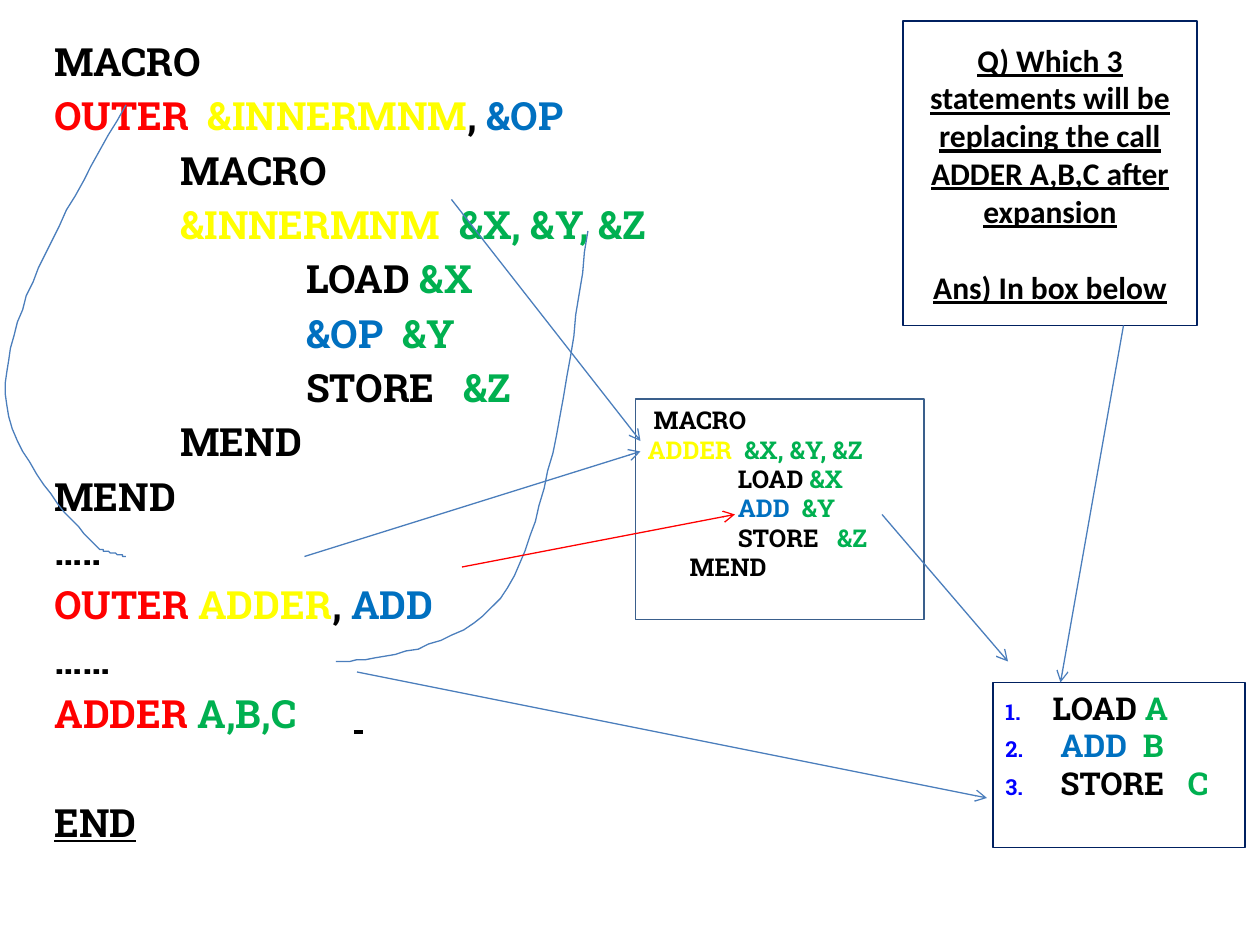
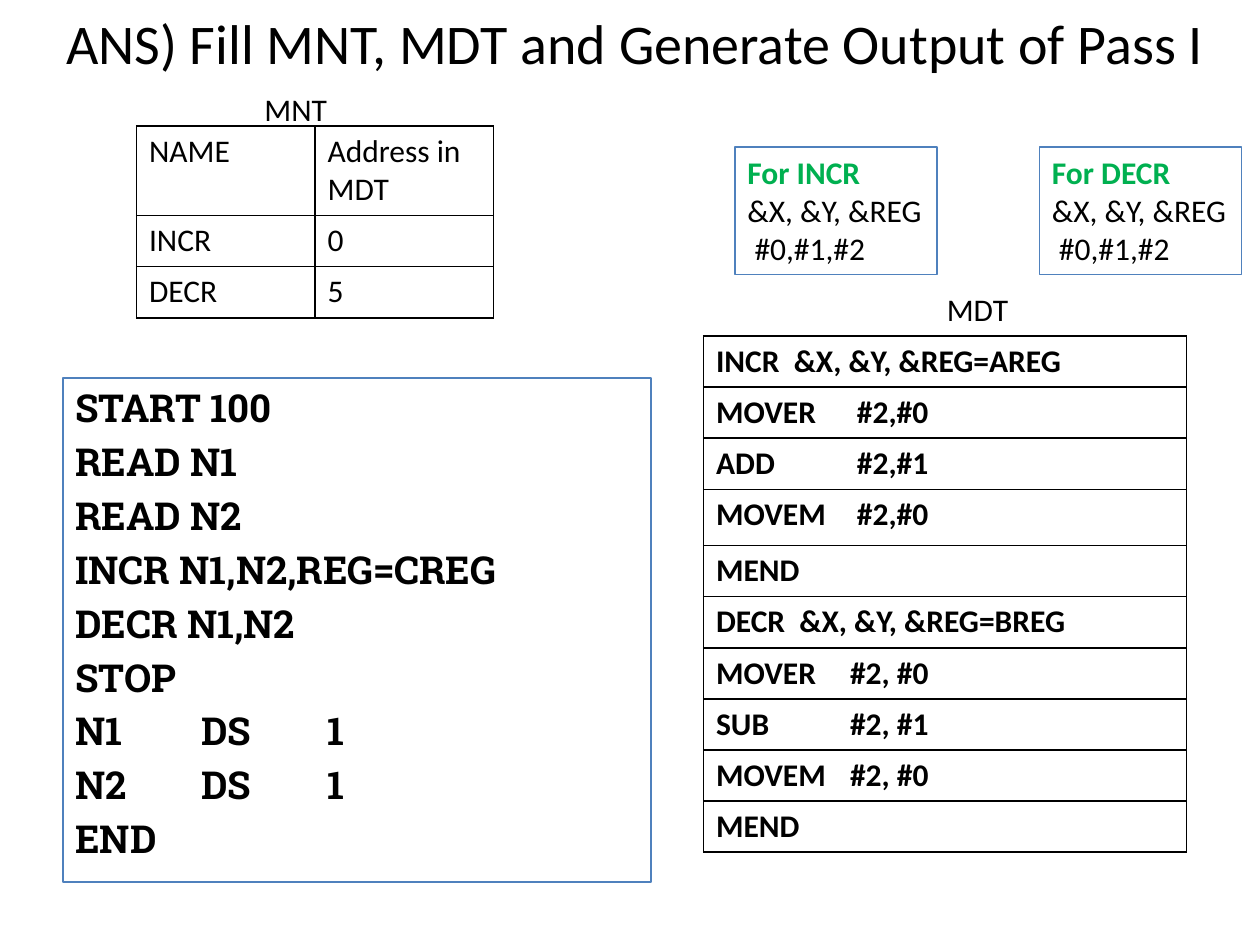
from lxml.etree import SubElement
from pptx import Presentation
from pptx.dml.color import RGBColor
from pptx.enum.shapes import MSO_CONNECTOR, MSO_SHAPE
from pptx.enum.text import MSO_ANCHOR, PP_ALIGN
from pptx.oxml.ns import qn
from pptx.util import Pt

BLACK, RED, YELLOW = "000000", "FF0000", "FFFF00"
BLUE, GREEN, NAVY = "0070C0", "00B050", "002060"
ARROW, EDGE, NUMBER = "4B7EBC", "4F81BD", "0000FF"
SLAB, SANS = "Roboto Slab", "Calibri"


def gap(extra):
    return (" ", BLACK, {"spacing": extra})


PARAMS = ("&X, &Y, &Z", GREEN)
X, Y, Z = ("&X", GREEN), ("&Y", GREEN), ("&Z", GREEN)

QUESTION = [
    "Q) Which 3 statements will be replacing the call ADDER A,B,C after expansion",
    "Ans) In box below",
]
NESTED_MACRO = [
    "MACRO",
    [("OUTER", RED), gap(5.5), ("&INNERMNM", YELLOW), ", ", ("&OP", BLUE)],
    "\tMACRO",
    ["\t", ("&INNERMNM", YELLOW), gap(5.5), PARAMS],
    ["\t\tLOAD ", X],
    ["\t\t", ("&OP", BLUE), gap(5.5), Y],
    ["\t\tSTORE", gap(11), Z],
    "\tMEND",
    "MEND",
    "…..",
    [("OUTER ", RED), ("ADDER", YELLOW), ", ", ("ADD", BLUE)],
    "……",
    [("ADDER ", RED), ("A,B,C", GREEN), gap(27.5),
     (" ", BLACK, {"name": SANS, "underline": True})],
    [("END", BLACK, {"underline": True})],
]
INNER_MACRO = [
    " MACRO",
    [("ADDER", YELLOW), gap(3.5), PARAMS],
    ["\t\tLOAD ", X],
    ["\t\t", ("ADD", BLUE), gap(3.5), Y],
    ["\t\tSTORE", gap(7), Z],
    "\tMEND",
]
EXPANSION = [
    ["LOAD ", ("A", GREEN)],
    [" ", ("ADD", BLUE), gap(4.5), ("B", GREEN)],
    [" STORE", gap(9), ("C", GREEN)],
]
ARROWS = [
    (264, 324, 420, 294, RED),
    (204, 384, 564, 456, ARROW),
    (642, 186, 606, 390, ARROW),
    (174, 318, 366, 258, ARROW),
    (258, 114, 366, 252, ARROW),
    (504, 294, 576, 378, ARROW),
]
CURVES = [
    [[(72, 60), (39, 118), (5, 176), (3, 219)],
     [(3, 219), (0, 261), (57, 314), (57, 314)],
     [(57, 314), (62, 315), (67, 317), (72, 318)]],
    [[(336, 132), (325, 213), (314, 294), (290, 336)],
     [(290, 336), (266, 377), (192, 378), (192, 378)]],
]

TITLE = "ANS) Fill MNT, MDT and Generate Output of Pass I"
PASS_ONE = ["START 100", "READ N1", "READ N2", "INCR N1,N2,REG=CREG", "DECR N1,N2",
            "STOP", "N1 \tDS \t1", "N2 \tDS \t1", "END"]
MNT = [["NAME", "Address in MDT"], ["INCR", "0"], ["DECR", "5"]]
MDT = [
    ["INCR", gap(4), "&X, &Y, &REG=AREG"],
    "MOVER\t#2,#0",
    "ADD\t#2,#1",
    "MOVEM\t#2,#0",
    "MEND",
    ["DECR", gap(4), "&X, &Y, &REG=BREG"],
    "MOVER\t#2, #0",
    "SUB\t#2, #1",
    "MOVEM\t#2, #0",
    "MEND",
]
LABELS = [("MNT", 144, 48), ("MDT", 534, 162)]
ARGUMENT_LISTS = [("INCR", 420), ("DECR", 594)]
ROW = 29.2


def rgb(color):
    return RGBColor.from_string(color)


def assign(obj, values):
    for name, value in values.items():
        setattr(obj, name, value)


def add_tabs(p, stops):
    tabs = SubElement(p._p.get_or_add_pPr(), qn("a:tabLst"))
    for stop in stops:
        SubElement(tabs, qn("a:tab"), pos=str(Pt(stop)), algn="l")


def number(p):
    pPr = p._p.get_or_add_pPr()
    pPr.set("marL", str(Pt(27)))
    pPr.set("indent", str(-Pt(27)))
    SubElement(SubElement(pPr, qn("a:buClr")), qn("a:srgbClr"), val=NUMBER)
    SubElement(pPr, qn("a:buSzPct"), val="70000")
    SubElement(pPr, qn("a:buFont"), typeface=SANS)
    SubElement(pPr, qn("a:buAutoNum"), type="arabicPeriod")


def write(tf, lines, size, name=SANS, bold=False, underline=False,
          align=PP_ALIGN.LEFT, before=0, tabs=(), numbered=False):
    for i, line in enumerate(lines):
        p = tf.add_paragraph() if i else tf.paragraphs[0]
        assign(p, {"alignment": align, "space_before": Pt(before)})
        if numbered:
            number(p)
        if tabs:
            add_tabs(p, tabs)
        for item in [line] if isinstance(line, (str, tuple)) else line:
            text, color, *extra = (item, BLACK) if isinstance(item, str) else item
            values = {"size": Pt(size), "name": name, "bold": bold, "underline": underline}
            values.update(extra[0] if extra else {})
            spacing = values.pop("spacing", 0)
            r = p.add_run()
            r.text = text
            assign(r.font, values)
            r.font.color.rgb = rgb(color)
            if spacing:
                r._r.get_or_add_rPr().set("spc", str(int(spacing * 100)))


def add_text(s, at, lines, size, line=None, wrap=True, anchor=MSO_ANCHOR.TOP, **style):
    at = [Pt(v) for v in at]
    if line:
        sp = s.shapes.add_shape(MSO_SHAPE.RECTANGLE, *at)
        sp.shadow.inherit = False
        sp.fill.background()
        sp.line.color.rgb = rgb(line)
        sp.line.width = Pt(0.75)
    else:
        sp = s.shapes.add_textbox(*at)
    tf = sp.text_frame
    assign(tf, {"word_wrap": wrap, "vertical_anchor": anchor})
    write(tf, lines, size, **style)
    return tf


def add_arrow(s, x1, y1, x2, y2, color):
    c = s.shapes.add_connector(MSO_CONNECTOR.STRAIGHT, Pt(x1), Pt(y1), Pt(x2), Pt(y2))
    c.line.color.rgb = rgb(color)
    c.line.width = Pt(0.75)
    SubElement(c.line._get_or_add_ln(), qn("a:tailEnd"), type="arrow")
    SubElement(c._element.spPr, qn("a:effectLst"))


def bezier(points, t):
    weights = ((1 - t) ** 3, 3 * t * (1 - t) ** 2, 3 * t * t * (1 - t), t ** 3)
    return tuple(sum(w * pt[k] for w, pt in zip(weights, points)) for k in (0, 1))


def add_curve(s, segments, steps=20):
    points = [bezier(seg, i / steps) for seg in segments for i in range(1, steps + 1)]
    x, y = segments[0][0]
    builder = s.shapes.build_freeform(x, y, scale=Pt(1))
    builder.add_line_segments(points, close=False)
    sp = builder.convert_to_shape()
    sp.shadow.inherit = False
    sp.fill.background()
    sp.line.color.rgb = rgb(ARROW)
    sp.line.width = Pt(0.75)


def add_border(cell):
    tcPr = cell._tc.get_or_add_tcPr()
    for i, side in enumerate(("lnL", "lnR", "lnT", "lnB")):
        ln = tcPr.makeelement(qn("a:" + side), {"w": str(Pt(1))})
        SubElement(SubElement(ln, qn("a:solidFill")), qn("a:srgbClr"), val=BLACK)
        tcPr.insert(i, ln)


def add_grid(s, x, y, width, heights, rows, tabs=None, **style):
    frame = s.shapes.add_table(len(rows), len(rows[0]), Pt(x), Pt(y), Pt(width),
                               Pt(sum(heights)))
    table = frame.table
    assign(table, {"first_row": False, "horz_banding": False})
    for i, row in enumerate(rows):
        table.rows[i].height = Pt(heights[i])
        for j, line in enumerate(row):
            cell = table.cell(i, j)
            cell.fill.background()
            add_border(cell)
            write(cell.text_frame, [line], 18, tabs=tabs[i] if tabs else (), **style)


def build_expansion(s):
    tf = add_text(s, (516, 12, 168, 174), QUESTION, 18, line=NAVY, bold=True,
                  underline=True, align=PP_ALIGN.CENTER, anchor=MSO_ANCHOR.MIDDLE)
    tf.paragraphs[-1].space_before = Pt(22)
    tf = add_text(s, (24, 18, 468, 462), NESTED_MACRO, 22.2, name=SLAB, bold=True,
                  before=4.4, tabs=(72, 144))
    tf.paragraphs[-1].space_before = Pt(35.6)
    add_text(s, (363, 228, 165, 126), INNER_MACRO, 14, line="3A5F8C", name=SLAB,
             bold=True, tabs=(24, 51.5))
    for curve in CURVES:
        add_curve(s, curve)
    add_text(s, (567.5, 390, 144, 94.5), EXPANSION, 18, line=NAVY, name=SLAB,
             bold=True, numbered=True)
    for arrow in ARROWS:
        add_arrow(s, *arrow)


def build_tables(s):
    add_text(s, (36, 216, 336, 288), PASS_ONE, 22, line=EDGE, name=SLAB, bold=True,
             before=4.4, tabs=(72, 144))
    add_grid(s, 78, 72, 204, [51.2, ROW, ROW], MNT)
    heights = [ROW] * len(MDT)
    heights[3] = 32.2
    add_grid(s, 402, 192, 276, heights, [[line] for line in MDT],
             tabs=[(80.5,)] * 5 + [(76.5,)] * 5, bold=True)
    for label, x, y in LABELS:
        add_text(s, (x, y, 50, 29), [label], 18, wrap=False)
    add_text(s, (30, 6, 666, 36), [TITLE], 32, wrap=False, align=PP_ALIGN.CENTER,
             anchor=MSO_ANCHOR.MIDDLE)
    for macro, x in ARGUMENT_LISTS:
        lines = [("For " + macro, GREEN, {"bold": True}), "&X, &Y, &REG", " #0,#1,#2"]
        add_text(s, (x, 84, 115.5, 73), lines, 18, line=EDGE, wrap=False)


def main():
    prs = Presentation()
    assign(prs, {"slide_width": Pt(720), "slide_height": Pt(540)})
    for build in (build_expansion, build_tables):
        build(prs.slides.add_slide(prs.slide_layouts[6]))
    prs.save("out.pptx")


if __name__ == "__main__":
    main()
